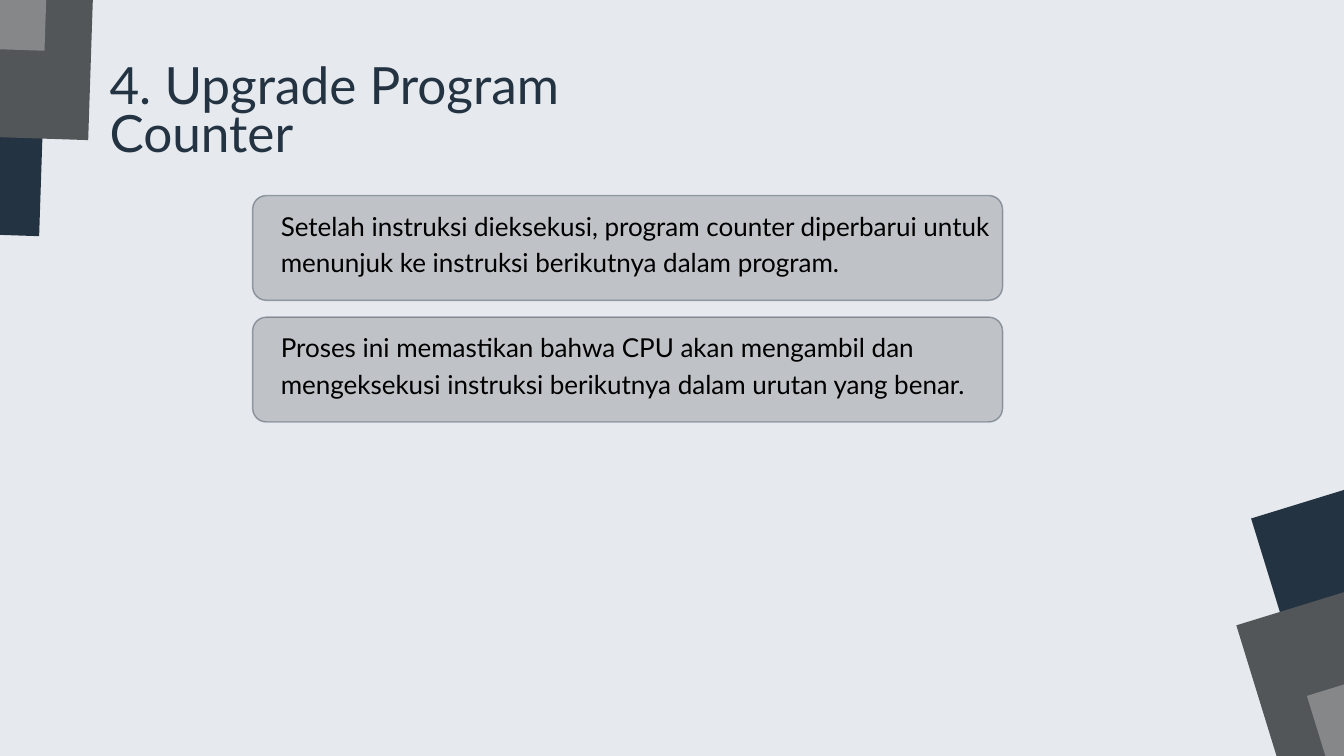
from lxml import etree
from pptx import Presentation
from pptx.dml.color import RGBColor
from pptx.enum.shapes import MSO_SHAPE
from pptx.enum.text import MSO_ANCHOR, MSO_AUTO_SIZE, PP_ALIGN
from pptx.oxml.ns import qn
from pptx.util import Inches, Pt

NAVY = RGBColor(0x24, 0x33, 0x42)
SLATE = RGBColor(0x53, 0x56, 0x59)
GRAY = RGBColor(0x85, 0x87, 0x89)
PALE = RGBColor(0xE6, 0xEA, 0xEF)
BLACK = RGBColor(0, 0, 0)


def set_alpha(fill_parent, percent):
    """Make the solid fill directly under this element partly transparent."""
    color = fill_parent.find(qn("a:solidFill"))[0]
    etree.SubElement(color, qn("a:alpha")).set("val", str(percent * 1000))


def write_text(tf, text, size, spacing, color, margins):
    tf.word_wrap = True
    tf.auto_size = MSO_AUTO_SIZE.NONE
    tf.vertical_anchor = MSO_ANCHOR.TOP
    tf.margin_left, tf.margin_top, tf.margin_right, tf.margin_bottom = map(Inches, margins)
    p = tf.paragraphs[0]
    p.alignment = PP_ALIGN.LEFT
    p.line_spacing = Pt(spacing)
    p.space_before = Pt(0)
    r = p.add_run()
    r.text = text
    r.font.name = "Lato"
    r.font.size = Pt(size)
    r.font.color.rgb = color


prs = Presentation()
prs.slide_width, prs.slide_height = Inches(20), Inches(11.25)
s = prs.slides.add_slide(prs.slide_layouts[5])
s.background.fill.solid()
s.background.fill.fore_color.rgb = PALE

# Tilted squares in the top left and bottom right corners
corners = [
    (271.9, [(-5.4, -2.67), (-4.67, -4.1), (-5.32, -5.43)]),
    (72.9, [(19.39, 6.67), (19.17, 8.26), (20.22, 9.31)]),
]
for angle, positions in corners:
    for (x, y), color in zip(positions, (NAVY, SLATE, GRAY)):
        sp = s.shapes.add_shape(MSO_SHAPE.RECTANGLE, Inches(x), Inches(y), Inches(6.07), Inches(6.1))
        sp.rotation = angle
        sp.shadow.inherit = False
        sp.fill.solid()
        sp.fill.fore_color.rgb = color
        sp.line.fill.background()

# Title
title = s.shapes.title
title.left, title.top, title.width, title.height = map(Inches, (1.63, 1.01, 7.2, 1.72))
write_text(title.text_frame, "4. Upgrade Program Counter", 55, 50.6, NAVY, (0, 0, 0, 0))

# Stacked cards
cards = [
    "Setelah instruksi dieksekusi, program counter diperbarui untuk menunjuk ke instruksi berikutnya dalam program.",
    "Proses ini memastikan bahwa CPU akan mengambil dan mengeksekusi instruksi berikutnya dalam urutan yang benar.",
]
for i, text in enumerate(cards):
    sp = s.shapes.add_shape(MSO_SHAPE.ROUNDED_RECTANGLE, Inches(3.76), Inches(2.91 + 1.81 * i),
                            Inches(11.16), Inches(1.56))
    sp.adjustments[0] = 0.13
    sp.shadow.inherit = False
    sp.fill.solid()
    sp.fill.fore_color.rgb = GRAY
    sp.line.color.rgb = NAVY
    sp.line.width = Pt(1.5)
    spPr = sp.element.spPr
    set_alpha(spPr, 40)
    set_alpha(spPr.find(qn("a:ln")), 40)
    write_text(sp.text_frame, text, 27.9, 39.1, BLACK, (0.36, 0.08, 0.13, 0))

prs.save("out.pptx")
